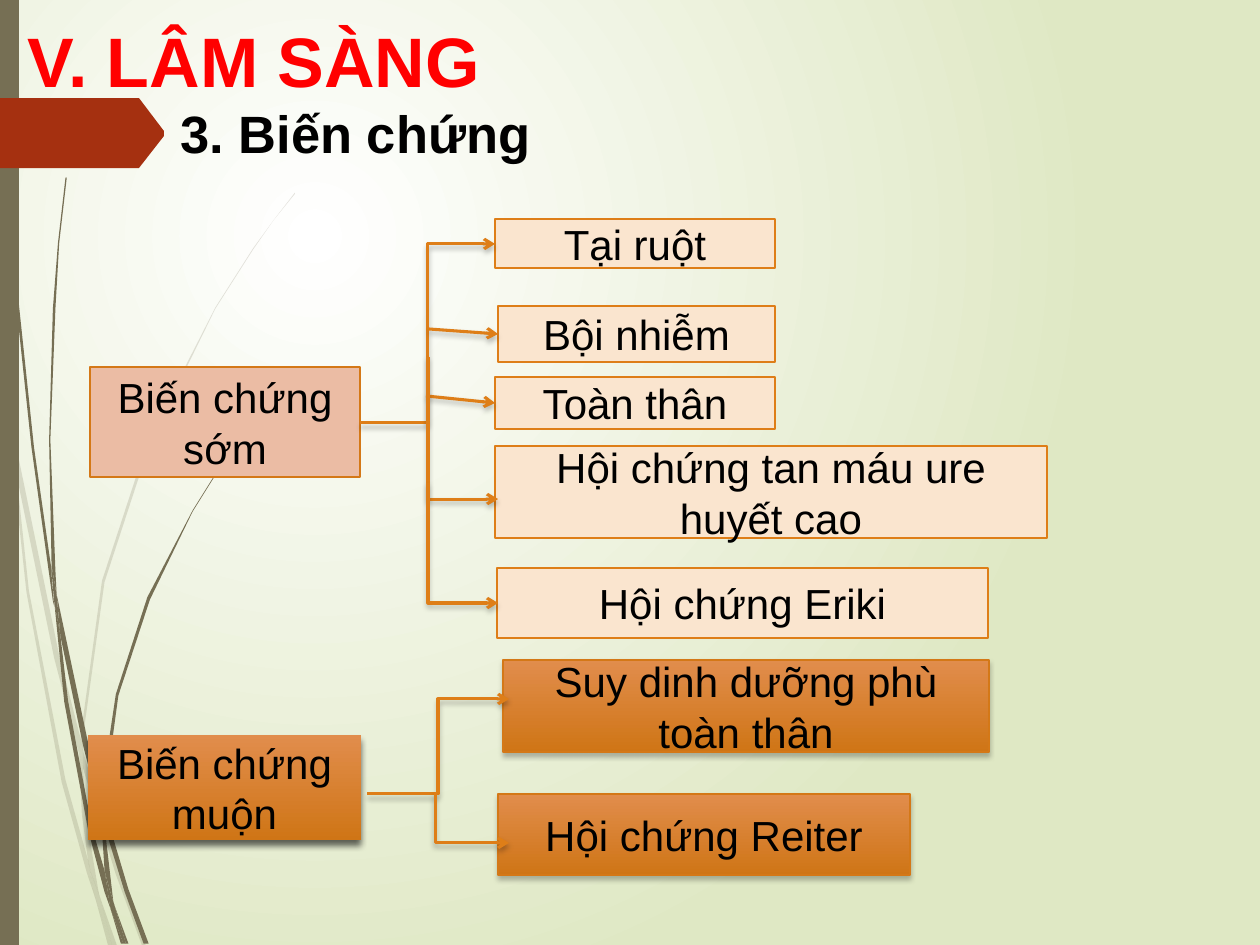
import pptx
import pptx.util
import pptx.oxml
import pptx.oxml.ns
import pptx.dml.color
import pptx.enum.shapes
import pptx.enum.text
import lxml.etree

PX = 914400 / 126
WISP_UNIT = 9144
OLIVE, RUST, ORANGE, BROWN = "766F54", "A53010", "DE7E18", "D47817"
PEACH, SALMON = "FAE5CF", "EBBCA4"
AMBER = ("E18D4C", "CF7516")
SOFT_SHADOW, STRONG_SHADOW = (25, 3, 2), (60, 4, 3)
CENTER = pptx.enum.text.PP_ALIGN.CENTER
JUSTIFY = pptx.enum.text.PP_ALIGN.JUSTIFY

PALE_WISPS = [
    [(8, 350), (6, 322), (0, 282), (0, 299), (8, 344)],
    [(43, 522), (63, 599), (64, 586), (47, 520), (11, 345), (13, 376)],
    [(69, 607), (66, 596), (66, 610), (92, 694), (113, 751), (116, 751), (95, 692)],
    [(89, 751), (93, 751), (79, 711)],
    [(70, 683), (52, 619), (23, 469), (13, 376), (8, 350), (21, 470), (49, 621), (69, 693),
     (76, 714), (74, 707)],
    [(63, 599), (65, 646), (70, 683), (72, 692), (79, 711), (78, 706), (68, 646), (66, 610),
     (66, 608)],
    [(66, 584), (83, 462), (120, 349), (171, 245), (201, 198), (217, 175), (234, 154),
     (234, 153), (217, 175), (201, 197), (171, 244), (118, 348), (81, 461), (64, 584),
     (64, 586), (66, 596)],
    [(76, 714), (86, 751), (89, 751)],
    [(66, 608), (66, 610), (66, 596), (64, 586), (63, 599)],
    [(72, 692), (70, 683), (74, 707), (76, 714), (89, 751), (79, 711)],
]
DARK_WISPS = [
    [(5, 110), (12, 233), (25, 355), (42, 477), (43, 481), (41, 457), (41, 453), (27, 355),
     (14, 232), (6, 109), (3, 48), (3, 0), (2, 0), (3, 48)],
    [(66, 592), (80, 645), (80, 633), (80, 631), (70, 590), (45, 472), (48, 505)],
    [(85, 649), (83, 641), (83, 656), (99, 708), (114, 749), (118, 749), (102, 706)],
    [(83, 691), (73, 657), (54, 556), (48, 505), (43, 477), (51, 557), (70, 659), (83, 708),
     (88, 722), (87, 717)],
    [(45, 472), (44, 453), (40, 349), (44, 245), (47, 193), (53, 141), (52, 141), (46, 193),
     (42, 245), (39, 349), (41, 449)],
    [(100, 749), (102, 749), (91, 719)],
    [(43, 477), (48, 505), (45, 472), (41, 449), (41, 453)],
    [(83, 633), (94, 552), (119, 476), (153, 406), (173, 374), (184, 359), (196, 344),
     (195, 344), (184, 358), (173, 373), (153, 405), (117, 474), (92, 551), (80, 631), (83, 641)],
    [(88, 722), (96, 749), (98, 749)],
    [(80, 645), (83, 691), (87, 706), (91, 719), (90, 716), (83, 656), (81, 651)],
    [(80, 645), (81, 651), (83, 656), (83, 641), (80, 631), (80, 633)],
    [(87, 706), (83, 691), (87, 717), (88, 722), (98, 749), (100, 749), (91, 719)],
]


def px(length):
    return round(length * PX)


def rgb(color):
    return pptx.dml.color.RGBColor.from_string(color)


def add_xml(parent, tag, **attributes):
    element = lxml.etree.SubElement(parent, pptx.oxml.ns.qn(tag))
    for key, value in attributes.items():
        element.set(key, str(value))
    return element


def set_gradient(fill, colors):
    fill.gradient()
    for stop, color, position in zip(fill.gradient_stops, colors, (0, 1)):
        stop.color.rgb = rgb(color)
        stop.position = position


def set_shadow(shape, shadow):
    effects = add_xml(shape._element.spPr, "a:effectLst")
    if shadow:
        opacity, blur, distance = shadow
        outer = add_xml(effects, "a:outerShdw", blurRad=blur * 12700,
                        dist=distance * 12700, dir=5400000, rotWithShape=0)
        color = add_xml(outer, "a:srgbClr", val="000000")
        add_xml(color, "a:alpha", val=opacity * 1000)


def paint(shape, fill, line=None, width=0, shadow=None):
    if isinstance(fill, tuple):
        set_gradient(shape.fill, fill)
        shape.fill.gradient_angle = 270
    else:
        shape.fill.solid()
        shape.fill.fore_color.rgb = rgb(fill)
    if line:
        shape.line.color.rgb = rgb(line)
        shape.line.width = pptx.util.Pt(width)
    else:
        shape.line.fill.background()
    set_shadow(shape, shadow)


def write(shape, text, size, color="000000", bold=False, align=CENTER):
    frame = shape.text_frame
    frame.word_wrap = True
    frame.vertical_anchor = pptx.enum.text.MSO_ANCHOR.MIDDLE
    frame.text = text
    paragraph = frame.paragraphs[0]
    paragraph.alignment = align
    paragraph.font.name = "Arial"
    paragraph.font.size = pptx.util.Pt(size)
    paragraph.font.bold = bold
    paragraph.font.color.rgb = rgb(color)


def add_outline(shapes, points, color, scale=PX):
    builder = shapes.build_freeform(*points[0], scale=scale)
    builder.add_line_segments(points[1:], close=True)
    outline = builder.convert_to_shape()
    paint(outline, color)
    return outline


def add_wisps(slide, wisps, opacity):
    tuft = slide.shapes.add_group_shape()
    for points in wisps:
        wisp = add_outline(tuft.shapes, points, OLIVE, WISP_UNIT)
        if opacity < 100:
            color = wisp._element.spPr.find(".//" + pptx.oxml.ns.qn("a:srgbClr"))
            add_xml(color, "a:alpha", val=opacity * 1000)


def add_backdrop(slide, height):
    set_gradient(slide.background.fill, ("FFFFFF", "DFE8C4"))
    gradient = slide._element.find(".//" + pptx.oxml.ns.qn("a:gradFill"))
    gradient.remove(gradient.find(pptx.oxml.ns.qn("a:lin")))
    circle = add_xml(gradient, "a:path", path="circle")
    add_xml(circle, "a:fillToRect", l=50000, t=50000, r=100000, b=100000)
    add_wisps(slide, PALE_WISPS, 20)
    add_wisps(slide, DARK_WISPS, 100)
    edge = slide.shapes.add_shape(pptx.enum.shapes.MSO_SHAPE.RECTANGLE, 0, 0, px(19), px(height))
    paint(edge, OLIVE)
    add_outline(slide.shapes, [(0, 98), (139, 98), (164, 131), (164, 136), (139, 168), (0, 168)],
                RUST)


def add_headings(slide, left, top):
    title = slide.shapes.title
    title.left, title.top, title.width, title.height = px(left), px(top), px(816), px(63)
    write(title, "V. LÂM SÀNG", 40, "FF0000", True, JUSTIFY)
    frame = title.text_frame
    frame.auto_size = pptx.enum.text.MSO_AUTO_SIZE.NONE
    frame.margin_left = frame.margin_right = px(9)
    frame.margin_top = frame.margin_bottom = px(5)
    subtitle = slide.shapes.add_textbox(px(left + 149), px(top + 66), px(564), px(77))
    write(subtitle, "3. Biến chứng", 30, bold=True, align=JUSTIFY)


def add_label(slide, left, top, box, text, style):
    x, y, width, height = box
    label = slide.shapes.add_shape(pptx.enum.shapes.MSO_SHAPE.RECTANGLE,
                                   px(left + x), px(top + y), px(width), px(height))
    paint(label, *style)
    write(label, text, 24)


def add_arrow(slide, left, top, x1, y1, x2, y2, bend=None):
    kinds = pptx.enum.shapes.MSO_CONNECTOR
    arrow = slide.shapes.add_connector(kinds.STRAIGHT if bend is None else kinds.ELBOW,
                                       px(left + x1), px(top + y1), px(left + x2), px(top + y2))
    arrow.line.color.rgb = rgb(ORANGE)
    arrow.line.width = pptx.util.Pt(1.75)
    add_xml(arrow.line._get_or_add_ln(), "a:tailEnd", type="arrow")
    if bend is not None:
        guides = arrow._element.spPr.find(".//" + pptx.oxml.ns.qn("a:avLst"))
        add_xml(guides, "a:gd", name="adj1", fmla=f"val {round(bend * 100000)}")
    set_shadow(arrow, SOFT_SHADOW)


def add_branch(slide, left, top, cause, cause_style, effects, effect_style, arrows):
    add_label(slide, left, top, *cause, cause_style)
    for effect in effects:
        add_label(slide, left, top, *effect, effect_style)
    for arrow in arrows:
        add_arrow(slide, left, top, *arrow)


def main():
    deck = pptx.Presentation()
    deck.slide_width, deck.slide_height = px(1260), px(945)
    slide = deck.slides.add_slide(deck.slide_layouts[5])
    add_backdrop(slide, 945)
    add_headings(slide, 19, 28)
    add_branch(
        slide, 90, 219,
        ((0, 148, 270, 110), "Biến chứng sớm"), (SALMON, BROWN, 0.75),
        [((405, 0, 280, 49), "Tại ruột"),
         ((408, 87, 277, 56), "Bội nhiễm"),
         ((405, 158, 280, 52), "Toàn thân"),
         ((405, 227, 552, 92), "Hội chứng tan máu ure huyết cao"),
         ((407, 349, 491, 70), "Hội chứng Eriki")],
        (PEACH, ORANGE, 1.25),
        [(270, 204, 405, 25, 0.5), (339, 110, 408, 115), (336, 177, 405, 184),
         (338, 138, 408, 280, 0), (338, 264, 408, 384, 0)])
    add_branch(
        slide, 88, 660,
        ((0, 75, 273, 105), "Biến chứng muộn"), (AMBER, None, 0, STRONG_SHADOW),
        [((415, 0, 486, 92), "Suy dinh dưỡng phù toàn thân"),
         ((410, 134, 412, 81), "Hội chứng Reiter")],
        (AMBER, BROWN, 0.75, SOFT_SHADOW),
        [(279, 134, 421, 39, 0.5), (349, 134, 421, 183, -0.02)])
    deck.save("out.pptx")


if __name__ == "__main__":
    main()
